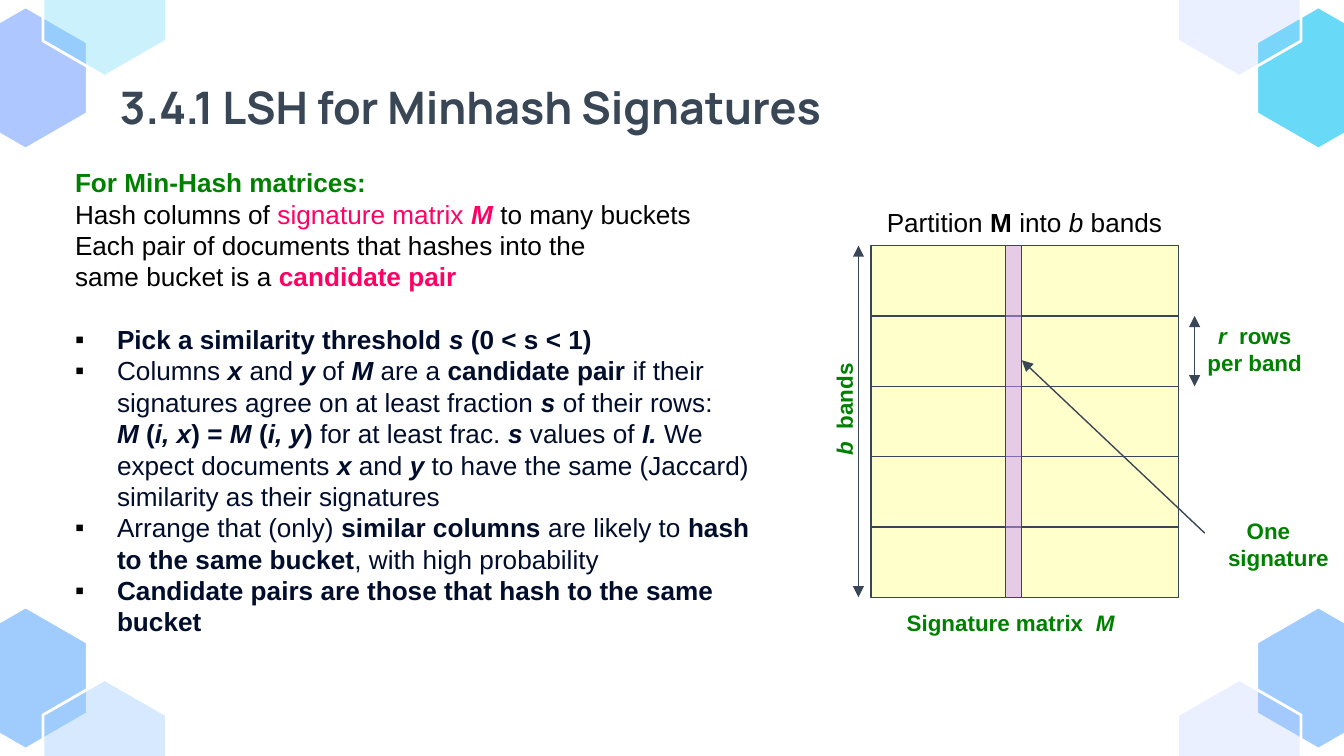
from pptx import Presentation
from pptx.dml.color import RGBColor
from pptx.enum.shapes import MSO_CONNECTOR as Connector, MSO_SHAPE as Preset
from pptx.enum.text import MSO_ANCHOR as Anchor, PP_ALIGN as Align
from pptx.oxml.ns import qn
from pptx.util import Pt
from lxml.etree import SubElement

WIDTH, HEIGHT = 720, 405
INK, GREEN, PINK, NAVY, BLACK = "384655", "008000", "FF0066", "000D2B", "000000"


def color(value):
    """Return the colour for a hex string."""
    return RGBColor.from_string(value)


def paint(shape, fill, opacity, line, weight):
    """Give a shape its fill, opacity and outline."""
    shape.shadow.inherit = False
    shape.fill.solid()
    shape.fill.fore_color.rgb = color(fill)
    if opacity < 100:
        tint = shape.fill._xPr.find(qn("a:solidFill"))[0]
        SubElement(tint, qn("a:alpha"), val=str(opacity * 1000))
    shape.line.color.rgb = color(line)
    shape.line.width = Pt(weight)


def add_block(page, left, top, width, height, fill, opacity):
    """Add an outlined translucent rectangle."""
    block = page.shapes.add_shape(Preset.RECTANGLE, Pt(left), Pt(top), Pt(width), Pt(height))
    paint(block, fill, opacity, INK, 0.75)


def add_line(page, start, end, arrows=()):
    """Add a thin line, with arrowheads at the ends named in arrows."""
    line = page.shapes.add_connector(Connector.STRAIGHT, *map(Pt, start + end))
    line.line.color.rgb = color(INK)
    line.line.width = Pt(0.75)
    outline = line.line._get_or_add_ln()
    for tag in arrows:
        SubElement(outline, qn(f"a:{tag}"), type="triangle")
    SubElement(line._element.spPr, qn("a:effectLst"))


def add_spans(para, spans, size, ink, font="Arial"):
    """Fill a paragraph from (text, style, colour) spans; style holds b and i."""
    for text, style, *tint in spans:
        for number, piece in enumerate(text.split("\n")):
            if number:
                para.add_line_break()
            if piece:
                span = para.add_run()
                span.text = piece
                span.font.name, span.font.size = font, Pt(size)
                span.font.bold, span.font.italic = "b" in style, "i" in style
                span.font.color.rgb = color(tint[0] if tint else ink)


def add_bullet(para):
    """Give a paragraph a square bullet with a hanging indent."""
    props = para._p.get_or_add_pPr()
    props.set("marL", str(Pt(22.5)))
    props.set("indent", str(-Pt(22.5)))
    SubElement(SubElement(props, qn("a:buClr")), qn("a:srgbClr"), val=BLACK)
    SubElement(props, qn("a:buFont"), typeface="Arial")
    SubElement(props, qn("a:buChar"), char="▪")


def add_text(page, left, top, width, height, paras, size=12, ink=GREEN, font="Arial",
             align=Align.LEFT, wrap=False, inset=3.6, turn=0):
    """Add a text box and return its paragraphs."""
    box = page.shapes.add_textbox(Pt(left), Pt(top), Pt(width), Pt(height))
    box.rotation = turn
    frame = box.text_frame
    frame.word_wrap, frame.vertical_anchor = wrap, Anchor.TOP
    frame.margin_top = frame.margin_bottom = Pt(inset)
    for number, spans in enumerate(paras):
        para = frame.add_paragraph() if number else frame.paragraphs[0]
        para.alignment = align
        add_spans(para, spans, size, ink, font)
    return frame.paragraphs


def add_corner(page, right, bottom, hexagons):
    """Add the two overlapping hexagons of one slide corner."""
    wide, high = 66.2, 76.3
    for (left, top), (fill, opacity) in zip([(-19.4, 3.6), (23, -35.3)], hexagons):
        left = WIDTH - left - wide if right else left
        top = HEIGHT - top - high if bottom else top
        points = [(Pt(left + x * wide), Pt(top + y * high)) for x, y in
                  [(0.5, 0), (0, 0.25), (0, 0.75), (0.5, 1), (1, 0.75), (1, 0.25)]]
        builder = page.shapes.build_freeform(*points[0])
        builder.add_line_segments(points[1:], close=True)
        paint(builder.convert_to_shape(), fill, opacity, "FFFFFF", 1.5)


def add_body(page, left, top, width, height):
    """Add the introduction and the bulleted steps."""
    intro = [
        [("For Min-Hash matrices:", "b", GREEN)],
        [("Hash columns of ", "", BLACK), ("signature matrix ", "", PINK), ("M", "bi", PINK),
         (" to many buckets", "", BLACK)],
        [("Each pair of documents that hashes into the \nsame bucket is a ", "", BLACK),
         ("candidate pair", "b", PINK)],
    ]
    steps = [
        [("Pick a similarity threshold ", "b"), ("s", "bi"), (" (0 < s < 1)", "b")],
        [("Columns ", ""), ("x ", "bi"), ("and ", ""), ("y", "bi"), (" of ", ""), ("M", "bi"),
         (" are a ", ""), ("candidate pair", "b"),
         (" if their signatures agree on at least fraction ", ""), ("s", "bi"),
         (" of their rows: \n", ""), ("M", "bi"), (" (", "b"), ("i, x", "bi"), (") = ", "b"),
         ("M", "bi"), (" (", "b"), ("i, y", "bi"), (")", "b"), (" for at least frac. ", ""),
         ("s", "bi"), (" values of ", ""), ("I. ", "bi"), ("We expect documents ", ""),
         ("x", "bi"), (" and ", ""), ("y", "bi"),
         (" to have the same (Jaccard) similarity as their signatures", "")],
        [("Arrange that (only) ", ""), ("similar columns", "b"), (" are likely to ", ""),
         ("hash to the same bucket", "b"), (", with high probability", "")],
        [("Candidate pairs are those that hash to the same bucket", "b")],
    ]
    paras = add_text(page, left, top, width, height, intro + steps, size=14, ink=NAVY, wrap=True)
    bulleted = paras[len(intro):]
    for para in bulleted:
        add_bullet(para)
    bulleted[0].space_before = Pt(16.8)


def add_matrix(page, left, top, width, height, bands=5):
    """Add the banded signature matrix with its arrows and labels."""
    right, bottom, band = left + width, top + height, height / bands
    both = ("headEnd", "tailEnd")
    add_block(page, left, top, width, height, "FFFF99", 50)
    for number in range(1, bands):
        level = top + number * band
        add_line(page, (left, level), (right, level))
    add_text(page, left + 11.5, bottom + 3, 126.7, 21.6,
             [[("Signature matrix  ", "b"), ("M", "bi")]], align=Align.CENTER)
    add_text(page, right + 8, top + band, 65.5, 36,
             [[("r ", "bi"), (" rows", "b")], [("per band", "b")]], align=Align.CENTER)
    add_line(page, (right + 8.6, top + band), (right + 8.6, top + 2 * band), both)
    add_line(page, (left - 6.7, top), (left - 6.7, bottom), both)
    add_text(page, left - 46.8, top + 77, 64.8, 21.6,
             [[("b", "bi"), ("  bands", "b")]], align=Align.CENTER, turn=270)
    add_block(page, left + 72, top, 8.8, height, "CC99FF", 50)
    add_line(page, (right + 14, top + 154), (left + 80.8, top + 61.4), ("tailEnd",))
    one, _ = add_text(page, right + 19.4, top + 142, 69, 36,
                      [[("One", "b")], [("signature", "b")]])
    one._p.get_or_add_pPr().set("marL", str(Pt(10)))
    one._p.get_or_add_pPr().set("indent", "0")
    add_text(page, left + 1.4, top - 24.3, width, 24.2,
             [[("Partition ", ""), ("M", "b"), (" into ", ""), ("b", "i"), (" bands", "")]],
             size=14, ink=BLACK, wrap=True)


def main():
    """Build and save the slide."""
    deck = Presentation()
    deck.slide_width, deck.slide_height = Pt(WIDTH), Pt(HEIGHT)
    page = deck.slides.add_slide(deck.slide_layouts[6])
    sky, periwinkle, cyan = "9FCBFD", "AFC7FF", "68DAF8"
    add_corner(page, False, True, [(sky, 100), (sky, 41)])
    add_corner(page, True, True, [(sky, 100), (periwinkle, 25)])
    add_corner(page, False, False, [(periwinkle, 100), (cyan, 34)])
    add_corner(page, True, False, [(cyan, 100), (periwinkle, 25)])
    add_text(page, 57, 35.3, 607, 45.4, [[("3.4.1 LSH for Minhash Signatures", "b")]],
             size=24, ink=INK, font="Manrope", wrap=True, inset=7.2)
    add_body(page, 33.1, 85.7, 385.2, 296)
    add_matrix(page, 466.6, 131.6, 164.8, 188.4)
    deck.save("out.pptx")


if __name__ == "__main__":
    main()
